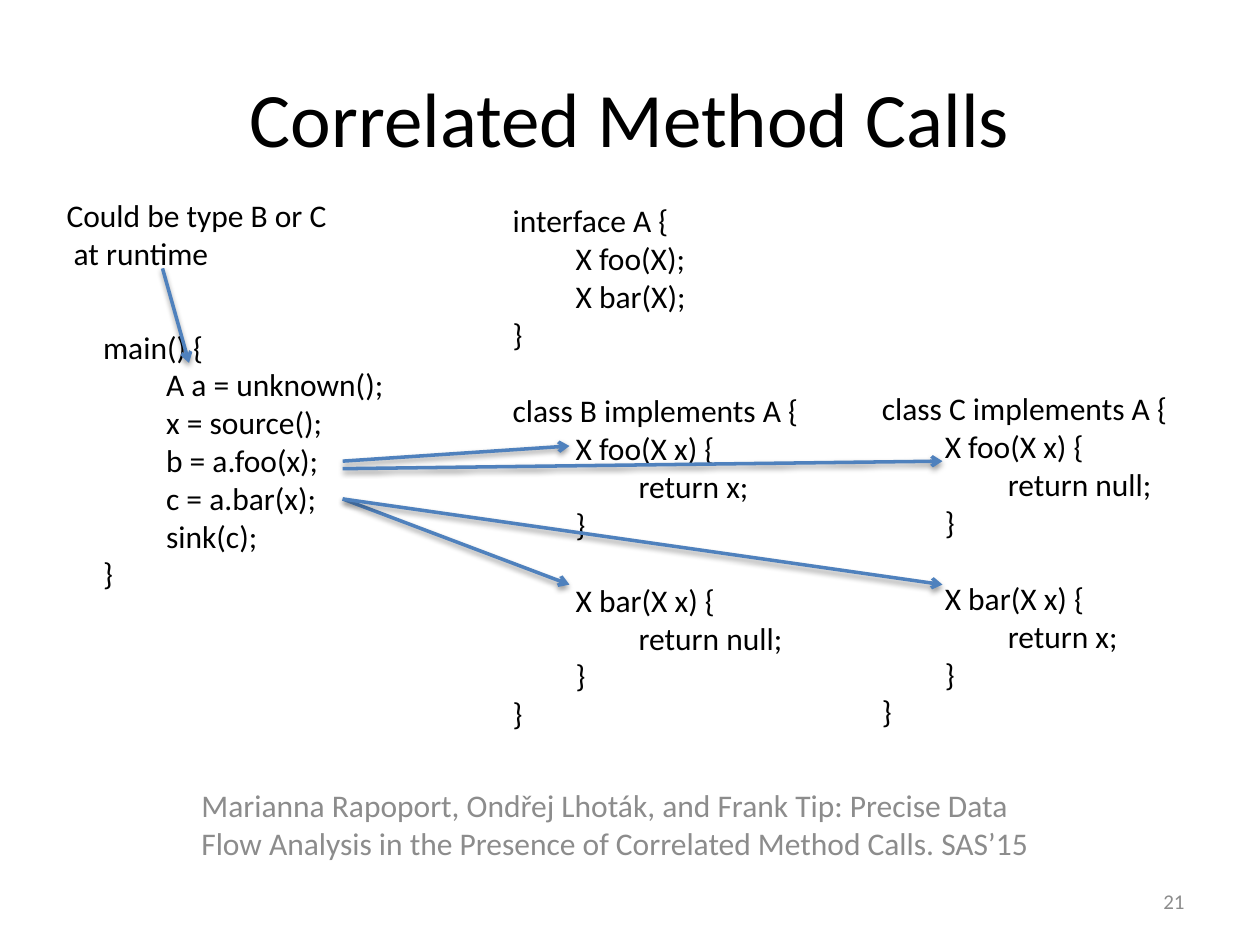
"""Build the slide on correlated method calls."""
import pptx
import pptx.dml.color
import pptx.enum.shapes
import pptx.enum.text
import pptx.oxml
import pptx.oxml.ns
import pptx.util
from pptx.util import Inches, Pt

RGB = pptx.dml.color.RGBColor.from_string
ALIGN = pptx.enum.text.PP_ALIGN
ANCHOR = pptx.enum.text.MSO_ANCHOR
THEME = {
    "font": "Calibri",
    "ink": RGB("000000"),
    "gray": RGB("8C8C8C"),
    "blue": RGB("4F81BD"),
    "title": Pt(44),
    "body": Pt(18),
    "small": Pt(12),
    "gap": Pt(22),
    "lead": Pt(3.6),
}
SHADOW = (
    f'<a:effectLst {pptx.oxml.ns.nsdecls("a")}>'
    '<a:outerShdw blurRad="40000" dist="20000" dir="5400000" rotWithShape="0">'
    '<a:srgbClr val="000000"><a:alpha val="38000"/></a:srgbClr>'
    "</a:outerShdw></a:effectLst>"
)

deck = pptx.Presentation()
deck.slide_width, deck.slide_height = Inches(10), Inches(7.5)
slide = deck.slides.add_slide(deck.slide_layouts[6])


def add_text(spot, lines, size="body", ink="ink", align=ALIGN.LEFT,
             anchor=ANCHOR.TOP, wrap=True, lead=Pt(0)):
    """Add a text box; tabs set the indent and an empty line sets a gap."""
    frame = slide.shapes.add_textbox(*map(Inches, spot)).text_frame
    frame.word_wrap, frame.vertical_anchor = wrap, anchor
    para, space = frame.paragraphs[0], lead
    for line in lines:
        if not line:
            space = THEME["gap"]
            continue
        if para.runs:
            para = frame.add_paragraph()
        para.alignment, para.space_before = align, space
        depth = line.count("\t")
        if depth:
            para._p.get_or_add_pPr().set("marL", str(Inches(0.5 * depth)))
        run = para.add_run()
        run.text = line.lstrip("\t")
        run.font.name, run.font.size = THEME["font"], THEME[size]
        run.font.color.rgb = THEME[ink]
        space = Pt(0)


def add_arrow(start, end):
    """Add a blue arrow with a soft shadow."""
    kind = pptx.enum.shapes.MSO_CONNECTOR.STRAIGHT
    arrow = slide.shapes.add_connector(kind, *map(Inches, start + end))
    arrow.line.color.rgb, arrow.line.width = THEME["blue"], Pt(2)
    head = pptx.oxml.parse_xml(
        f'<a:tailEnd {pptx.oxml.ns.nsdecls("a")} type="arrow"/>')
    arrow.line._get_or_add_ln().append(head)
    arrow._element.spPr.append(pptx.oxml.parse_xml(SHADOW))


add_text((0.5, 0.3, 9, 1.25), ["Correlated Method Calls"], "title",
         align=ALIGN.CENTER, anchor=ANCHOR.MIDDLE)
add_text((7.17, 6.95, 2.33, 0.4), ["21"], "small", "gray",
         ALIGN.RIGHT, ANCHOR.MIDDLE)
add_text((1.5, 6.19, 7, 1.02),
         ["Marianna Rapoport, Ondřej Lhoták, and Frank Tip: Precise Data "
          "Flow Analysis in the Presence of Correlated Method Calls. SAS’15"],
         ink="gray", lead=THEME["lead"])

face = ["interface A {", "\tX foo(X);", "\tX bar(X);", "}", ""]
main = ["main() {", "\tA a = unknown();", "\tx = source();", "\tb = a.foo(x);",
        "\tc = a.bar(x);", "\tsink(c);", "}"]
kinds = []
for name, foo, bar in (("B", "x", "null"), ("C", "null", "x")):
    kinds.append([f"class {name} implements A {{",
                  "\tX foo(X x) {", f"\t\treturn {foo};", "\t}", "",
                  "\tX bar(X x) {", f"\t\treturn {bar};", "\t}", "}"])

add_text((0.72, 2.55, 2.46, 2.22), main, wrap=False)
add_text((3.97, 1.55, 2.49, 4.34), face + kinds[0], wrap=False)
add_text((6.9, 3.04, 2.63, 2.83), kinds[1])
add_text((0.43, 1.51, 2.29, 0.71), ["Could be type B or C", " at runtime"],
         wrap=False)

add_arrow((1.29, 2.13), (1.5, 2.88))
for left, right, foo, bar in ((3.66, 4.52, 3.54, 4.64), (3.72, 7.48, 3.66, 4.64)):
    add_arrow((2.72, left), (right, foo))
    add_arrow((2.72, 3.96), (right, bar))

deck.save("out.pptx")
